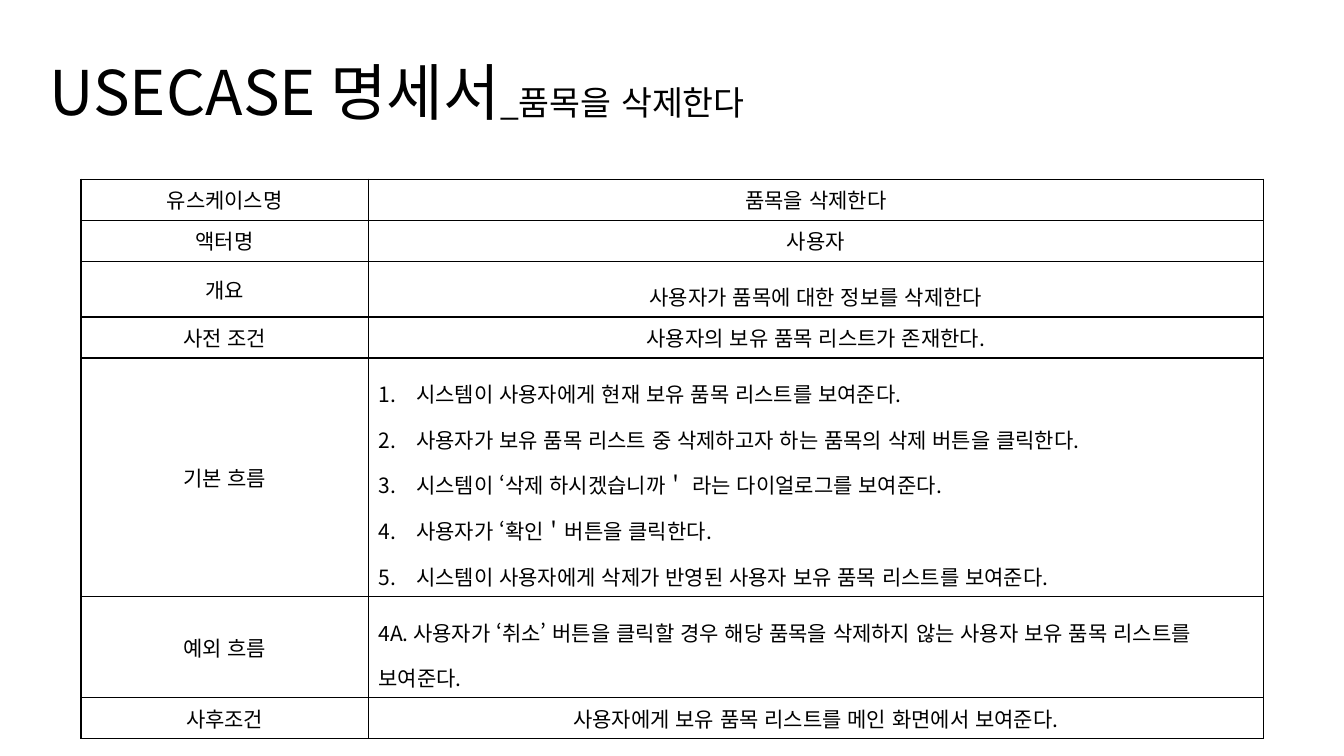
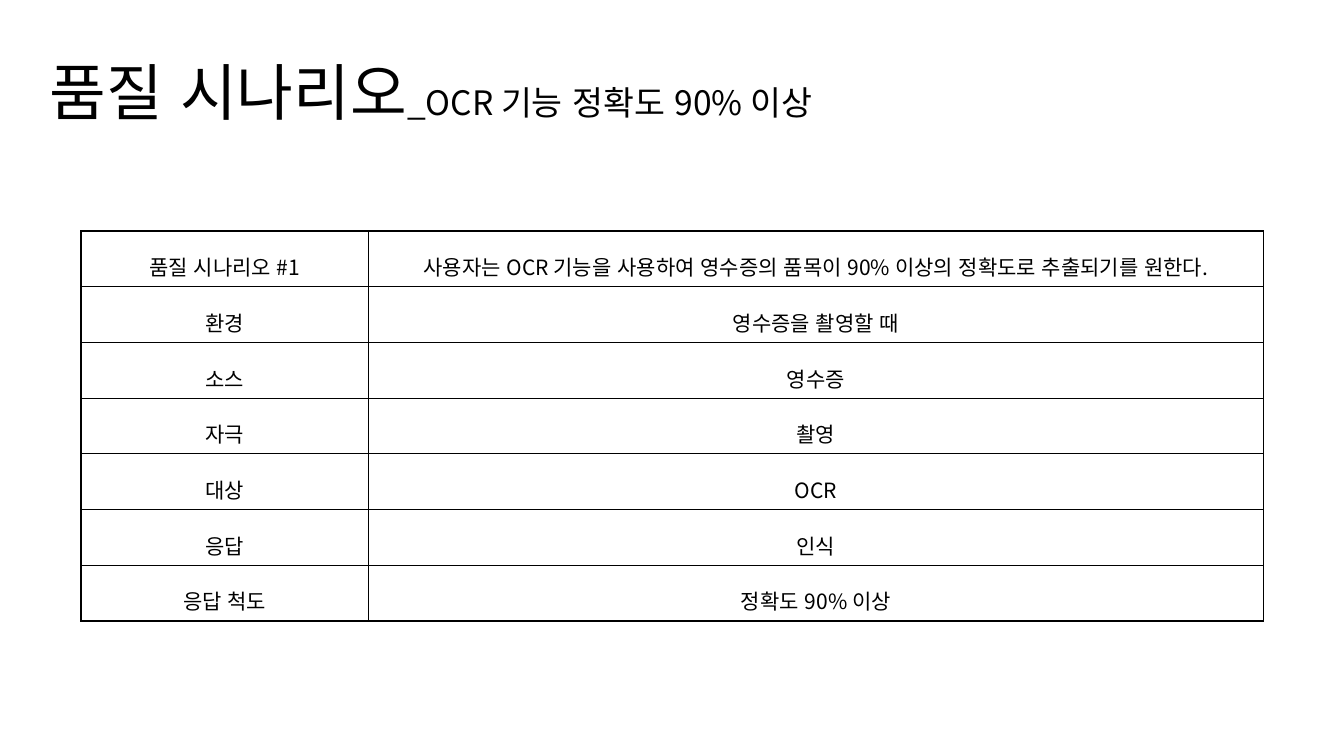
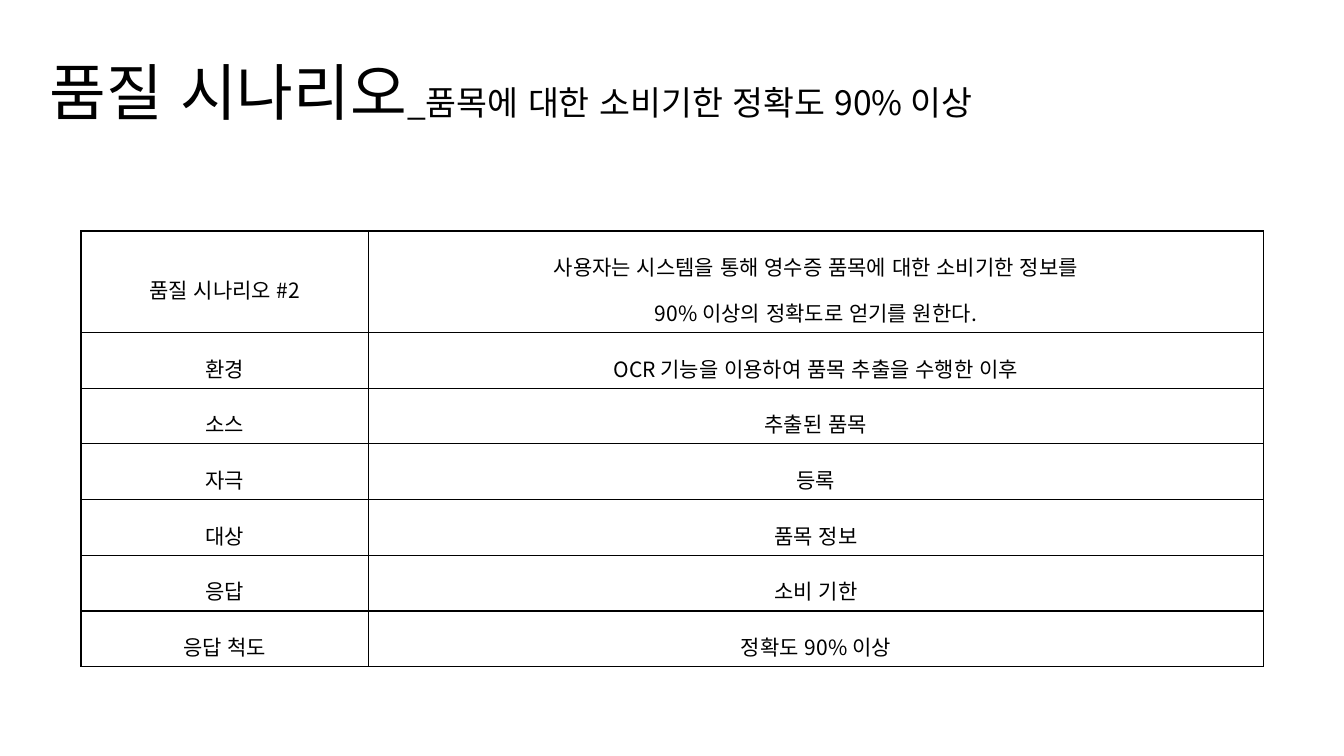
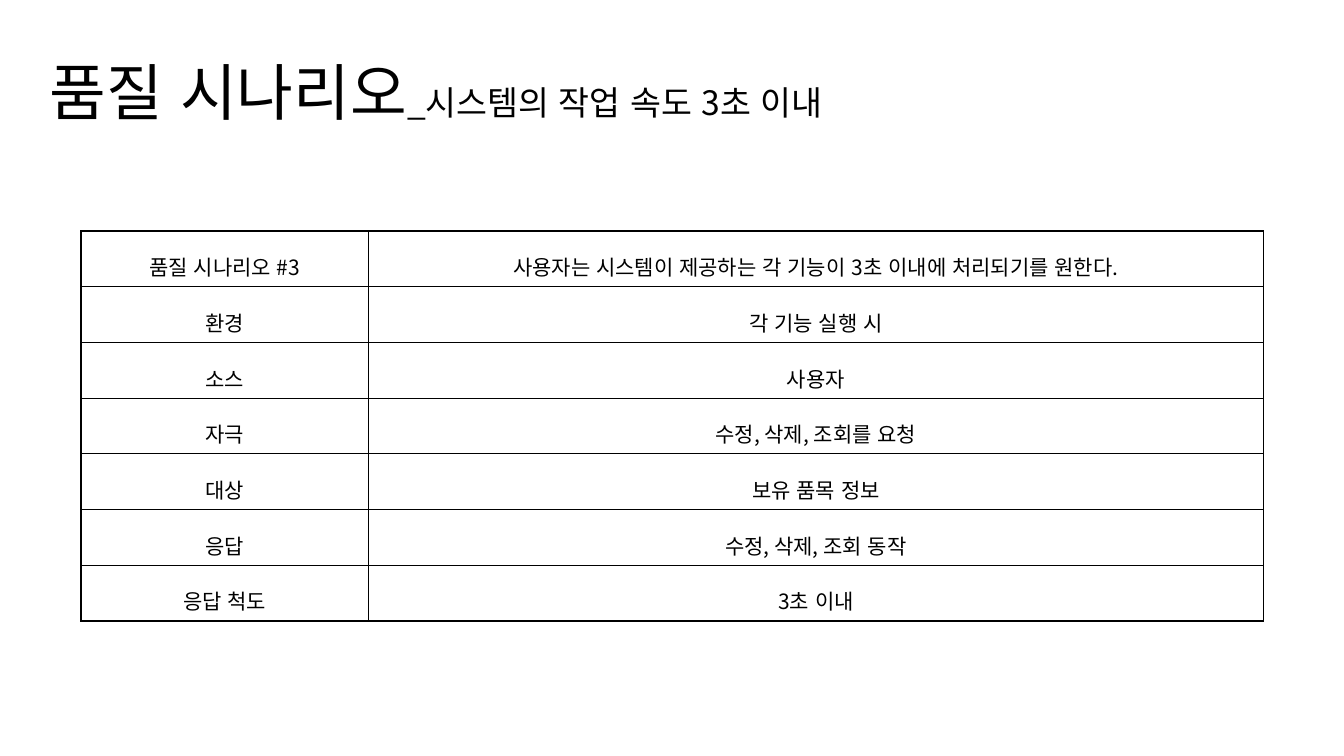
from dataclasses import dataclass

from lxml import etree
from pptx import Presentation
from pptx.dml.color import RGBColor
from pptx.enum.lang import MSO_LANGUAGE_ID
from pptx.enum.text import MSO_ANCHOR, PP_ALIGN
from pptx.oxml.ns import qn
from pptx.util import Pt

LEFT = PP_ALIGN.LEFT
CENTER = PP_ALIGN.CENTER
MIDDLE = MSO_ANCHOR.MIDDLE
KOREAN = MSO_LANGUAGE_ID.KOREAN

FONT = "Noto Sans CJK KR"
BLACK = "000000"
BLANK_LAYOUT = 6
TITLE_SIZE, SUBTITLE_SIZE, CELL_SIZE = 44, 24, 15
TITLE_BOX = (28.3, 9, 828, 119)
TABLE_LEFT = 57.9
USECASE_TOP, SCENARIO_TOP = 128, 165
COLUMN_WIDTHS = (205.2, 639.4)
MIN_ROW_HEIGHT = 29.3
LINE_HEIGHT = 21.75
CELL_PADDING = 7.2
NUMBER_INDENT = 27
BORDER_WIDTH = 1


@dataclass(frozen=True)
class CellStyle:
    align: PP_ALIGN = CENTER
    spacing: float = 1.0
    numbered: bool = False
    lines_per_para: int = 1


COMPACT = CellStyle()
AIRY = CellStyle(spacing=1.5)
STEPS = CellStyle(align=LEFT, spacing=1.5, numbered=True)
PROSE = CellStyle(align=LEFT, spacing=1.5, lines_per_para=2)

USECASE_ROWS = [
    ("유스케이스명", ["품목을 삭제한다"], COMPACT),
    ("액터명", ["사용자"], COMPACT),
    ("개요", ["사용자가 품목에 대한 정보를 삭제한다"], AIRY),
    ("사전 조건", ["사용자의 보유 품목 리스트가 존재한다."], COMPACT),
    ("기본 흐름", [
        "시스템이 사용자에게 현재 보유 품목 리스트를 보여준다.",
        "사용자가 보유 품목 리스트 중 삭제하고자 하는 품목의 삭제 버튼을 클릭한다.",
        "시스템이 ‘삭제 하시겠습니까＇ 라는 다이얼로그를 보여준다.",
        "사용자가 ‘확인＇버튼을 클릭한다.",
        "시스템이 사용자에게 삭제가 반영된 사용자 보유 품목 리스트를 보여준다.",
    ], STEPS),
    ("예외 흐름", [
        "4A. 사용자가 ‘취소’ 버튼을 클릭할 경우 해당 품목을 삭제하지 않는 "
        "사용자 보유 품목 리스트를 보여준다.",
    ], PROSE),
    ("사후조건", ["사용자에게 보유 품목 리스트를 메인 화면에서 보여준다."], COMPACT),
]

SCENARIO_LABELS = ["환경", "소스", "자극", "대상", "응답", "응답 척도"]
SCENARIOS = [
    ("_OCR 기능 정확도 90% 이상",
     ["사용자는 OCR 기능을 사용하여 영수증의 품목이 90% 이상의 정확도로 추출되기를 원한다."],
     ["영수증을 촬영할 때", "영수증", "촬영", "OCR", "인식", "정확도 90% 이상"]),
    ("_품목에 대한 소비기한 정확도 90% 이상",
     ["사용자는 시스템을 통해 영수증 품목에 대한 소비기한 정보를",
      "90% 이상의 정확도로 얻기를 원한다."],
     ["OCR 기능을 이용하여 품목 추출을 수행한 이후", "추출된 품목", "등록",
      "품목 정보", "소비 기한", "정확도 90% 이상"]),
    ("_시스템의 작업 속도 3초 이내",
     ["사용자는 시스템이 제공하는 각 기능이 3초 이내에 처리되기를 원한다."],
     ["각 기능 실행 시", "사용자", "수정, 삭제, 조회를 요청", "보유 품목 정보",
      "수정, 삭제, 조회 동작", "3초 이내"]),
]


def color(value):
    return RGBColor.from_string(value)


def add_span(para, text, size):
    span = para.add_run()
    span.text = text
    font = span.font
    font.size = Pt(size)
    font.name = FONT
    font.language_id = KOREAN
    font.color.rgb = color(BLACK)
    etree.SubElement(span._r.get_or_add_rPr(), qn("a:ea"), typeface=FONT)


def number_para(para):
    properties = para._p.get_or_add_pPr()
    properties.set("marL", str(Pt(NUMBER_INDENT)))
    properties.set("indent", str(-Pt(NUMBER_INDENT)))
    etree.SubElement(properties, qn("a:buFont"), typeface="+mj-lt")
    etree.SubElement(properties, qn("a:buAutoNum"), type="arabicPeriod")


def add_title(page, box, title, subtitle):
    frame = page.shapes.add_textbox(*map(Pt, box)).text_frame
    frame.word_wrap = True
    frame.vertical_anchor = MIDDLE
    para = frame.paragraphs[0]
    para.line_spacing = 0.9
    para.space_after = Pt(6)
    add_span(para, title, TITLE_SIZE)
    add_span(para, subtitle, SUBTITLE_SIZE)


def draw_borders(cell):
    properties = cell._tc.get_or_add_tcPr()
    for side in ("lnL", "lnR", "lnT", "lnB"):
        line = etree.SubElement(properties, qn(f"a:{side}"), w=str(Pt(BORDER_WIDTH)))
        fill = etree.SubElement(line, qn("a:solidFill"))
        etree.SubElement(fill, qn("a:srgbClr"), val=BLACK)


def fill_cell(cell, lines, style):
    cell.vertical_anchor = MIDDLE
    draw_borders(cell)
    cell.fill.background()
    frame = cell.text_frame
    for index, line in enumerate(lines):
        para = frame.add_paragraph() if index else frame.paragraphs[0]
        para.alignment = style.align
        para.line_spacing = style.spacing
        if style.numbered:
            number_para(para)
        add_span(para, line, CELL_SIZE)


def row_height(lines, style):
    line_count = len(lines) * style.lines_per_para
    return max(MIN_ROW_HEIGHT, CELL_PADDING + LINE_HEIGHT * style.spacing * line_count)


def add_spec_table(page, left, top, rows, label_style):
    heights = [row_height(lines, style) for _, lines, style in rows]
    box = (left, top, sum(COLUMN_WIDTHS), sum(heights))
    table = page.shapes.add_table(len(rows), len(COLUMN_WIDTHS), *map(Pt, box)).table
    table.first_row = False
    table.horz_banding = False
    for column, width in zip(table.columns, COLUMN_WIDTHS):
        column.width = Pt(width)
    for index, (label, lines, style) in enumerate(rows):
        table.rows[index].height = Pt(heights[index])
        fill_cell(table.cell(index, 0), [label], label_style)
        fill_cell(table.cell(index, 1), lines, style)


def add_page(deck, title, subtitle, top, rows, label_style):
    page = deck.slides.add_slide(deck.slide_layouts[BLANK_LAYOUT])
    add_title(page, TITLE_BOX, title, subtitle)
    add_spec_table(page, TABLE_LEFT, top, rows, label_style)


def main():
    deck = Presentation()
    deck.slide_width = Pt(960)
    deck.slide_height = Pt(540)
    add_page(deck, "USECASE 명세서", "_품목을 삭제한다", USECASE_TOP, USECASE_ROWS, COMPACT)
    for number, (subtitle, summary, values) in enumerate(SCENARIOS, 1):
        rows = [(f"품질 시나리오 #{number}", summary, AIRY)]
        rows += [(label, [value], AIRY) for label, value in zip(SCENARIO_LABELS, values)]
        add_page(deck, "품질 시나리오", subtitle, SCENARIO_TOP, rows, AIRY)
    deck.save("out.pptx")


if __name__ == "__main__":
    main()
